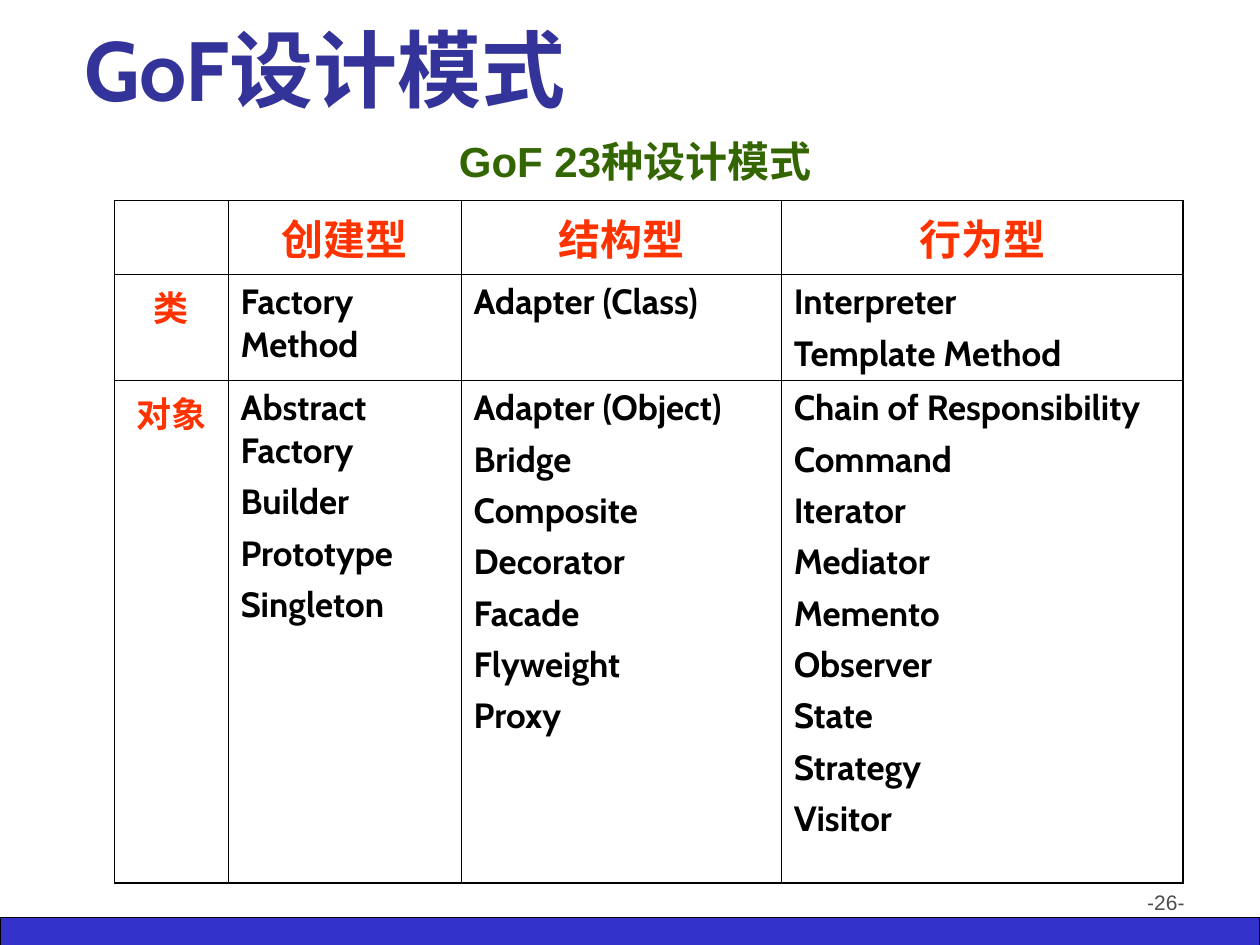
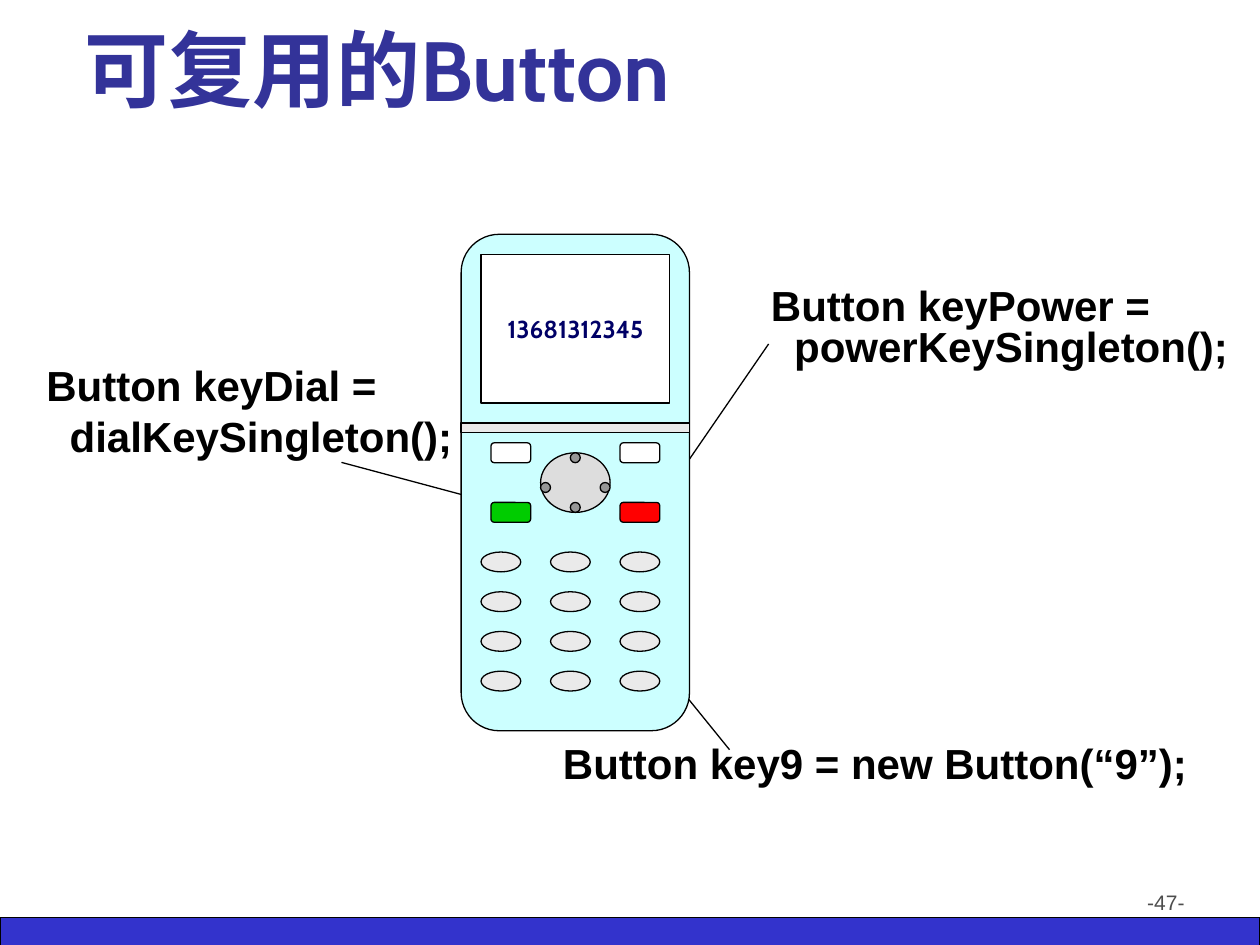
from lxml import etree
from pptx import Presentation, util as u
from pptx.dml.color import RGBColor
from pptx.enum import shapes, text
from pptx.oxml import ns

# Colours and fonts
BLACK = RGBColor(0x00, 0x00, 0x00)
WHITE = RGBColor(0xFF, 0xFF, 0xFF)
INDIGO = RGBColor(0x33, 0x33, 0x99)
BAND_BLUE = RGBColor(0x33, 0x33, 0xCC)
NAVY = RGBColor(0x00, 0x00, 0x66)
DARK_GREEN = RGBColor(0x33, 0x66, 0x00)
ORANGE = RGBColor(0xFF, 0x33, 0x00)
FOOTER_GREY = RGBColor(0x4D, 0x4D, 0x4D)
BODY_CYAN = RGBColor(0xCC, 0xFF, 0xFF)
KEY_GREY = RGBColor(0xEA, 0xEA, 0xEA)
PAD_GREY = RGBColor(0xDD, 0xDD, 0xDD)
DOT_GREY = RGBColor(0x96, 0x96, 0x96)
DIAL_GREEN = RGBColor(0x00, 0xCC, 0x00)
POWER_RED = RGBColor(0xFF, 0x00, 0x00)
HEAD_FONT, TEXT_FONT = "Cabin", "Arial"

# The slide is a grid of 100 columns by 75 rows
COLS, ROWS = 100, 75
WIDTH, HEIGHT = u.Inches(10), u.Inches(7.5)

RECT = shapes.MSO_SHAPE.RECTANGLE
ROUND = shapes.MSO_SHAPE.ROUNDED_RECTANGLE
OVAL = shapes.MSO_SHAPE.OVAL
LEFT, CENTER, RIGHT = text.PP_ALIGN.LEFT, text.PP_ALIGN.CENTER, text.PP_ALIGN.RIGHT


def x(col):
    return round(WIDTH * col / COLS)


def y(row):
    return round(HEIGHT * row / ROWS)


def box(col, row, cols, rows):
    return x(col), y(row), x(cols), y(rows)


class Deck:
    def __init__(self):
        self.prs = Presentation()
        self.prs.slide_width, self.prs.slide_height = WIDTH, HEIGHT
        self.s = None

    def slide(self, title, number):
        """Start a slide with its band, page number and title."""
        self.s = self.prs.slides.add_slide(self.prs.slide_layouts[5])
        self.shape(RECT, (0, 72.8, 100, 2.5), BAND_BLUE)
        self.label((71.7, 70.1, 23.3, 5.2), [f"-{number}-"], 12, FOOTER_GREY,
                   bold=False, align=RIGHT)
        sp = self.s.shapes.title
        sp.left, sp.top, sp.width, sp.height = box(5.7, 2.8, 86.8, 7.1)
        tf = sp.text_frame
        tf.auto_size = text.MSO_AUTO_SIZE.NONE
        tf.vertical_anchor = text.MSO_ANCHOR.BOTTOM
        self.add_lines(tf, [title], 48, INDIGO, HEAD_FONT)

    def add_lines(self, tf, lines, size, color, font=TEXT_FONT, bold=True,
                  align=LEFT, before=0, spacing=1.0):
        for i, line in enumerate(lines):
            p = tf.add_paragraph() if i else tf.paragraphs[0]
            p.alignment, p.line_spacing = align, spacing
            p.space_before = u.Pt(before if i else 0)
            for j, part in enumerate(line.split("\n")):
                if j:
                    p.add_line_break()
                r = p.add_run()
                r.text = part
                r.font.name, r.font.size, r.font.bold = font, u.Pt(size), bold
                r.font.color.rgb = color

    def label(self, place, lines, size, color, **style):
        tf = self.s.shapes.add_textbox(*box(*place)).text_frame
        tf.word_wrap = True
        self.add_lines(tf, lines, size, color, **style)

    def code(self, place, lines):
        self.label(place, lines, 24, BLACK, before=6, spacing=0.8)

    def shape(self, kind, place, fill, into=None):
        sp = (into or self.s).shapes.add_shape(kind, *box(*place))
        sp.shadow.inherit = False
        sp.fill.solid()
        sp.fill.fore_color.rgb = fill
        sp.line.color.rgb, sp.line.width = BLACK, u.Pt(0.75)
        return sp

    def line(self, start, end):
        ends = x(start[0]), y(start[1]), x(end[0]), y(end[1])
        c = self.s.shapes.add_connector(shapes.MSO_CONNECTOR.STRAIGHT, *ends)
        c.line.color.rgb, c.line.width = BLACK, u.Pt(0.75)
        etree.SubElement(c._element.spPr, ns.qn("a:effectLst"))

    def borders(self, cell, outer):
        """Rule the four sides; sides named in outer are heavier."""
        tc_pr = cell._tc.get_or_add_tcPr()
        for i, side in enumerate("LRTB"):
            width = u.Pt(1.08 if side in outer else 0.45)
            ln = etree.Element(ns.qn(f"a:ln{side}"), w=str(int(width)))
            fill = etree.SubElement(ln, ns.qn("a:solidFill"))
            etree.SubElement(fill, ns.qn("a:srgbClr"), val=str(BLACK))
            tc_pr.insert(i, ln)

    def table(self, place, cols, rows, cells):
        """Grid of line lists; the first row and column are headings."""
        t = self.s.shapes.add_table(len(rows), len(cols), *box(*place)).table
        t.first_row = t.horz_banding = False
        for column, width in zip(t.columns, cols):
            column.width = x(width)
        for i, height in enumerate(rows):
            t.rows[i].height = y(height)
            for j, lines in enumerate(cells[i]):
                cell = t.cell(i, j)
                cell.fill.solid()
                cell.fill.fore_color.rgb = WHITE
                outer = [side for side, on in (
                    ("T", i == 0), ("B", i == len(rows) - 1),
                    ("L", j == 0), ("R", j == len(cols) - 1)) if on]
                self.borders(cell, outer)
                heading = i == 0 or j == 0
                self.add_lines(cell.text_frame, lines, 20 if i else 24,
                               ORANGE if heading else BLACK, HEAD_FONT,
                               align=CENTER if heading else LEFT, before=5)


class Phone:
    """A handset drawn on its own grid of 23 by 50 units."""
    LEFT, TOP, UNIT = 36.6, 18.6, 39.4 / 50

    def point(self, px, py):
        return self.LEFT + px * self.UNIT, self.TOP + py * self.UNIT

    def draw(self, deck, number):
        group = deck.s.shapes.add_group_shape()

        def part(kind, px, py, w, h, fill):
            place = (*self.point(px, py), w * self.UNIT, h * self.UNIT)
            return deck.shape(kind, place, fill, group)

        # Body, screen and hinge
        part(ROUND, 0, 0, 23, 50, BODY_CYAN)
        tf = part(RECT, 2, 2, 19, 15, WHITE).text_frame
        tf.word_wrap = False
        tf.vertical_anchor = text.MSO_ANCHOR.MIDDLE
        deck.add_lines(tf, [number], 14, NAVY, HEAD_FONT, align=CENTER)
        part(RECT, 0, 19, 23, 1, KEY_GREY)

        # Navigation pad and function keys
        part(OVAL, 8, 22, 7, 6, PAD_GREY)
        for px, lower in ((3, DIAL_GREEN), (16, POWER_RED)):
            part(ROUND, px, 21, 4, 2, WHITE)
            part(ROUND, px, 27, 4, 2, lower)
        for px, py in ((11, 22), (11, 27), (14, 25), (8, 25)):
            part(OVAL, px, py, 1, 1, DOT_GREY)

        # Number keys
        for row in range(4):
            for col in range(3):
                part(OVAL, 2 + 7 * col, 32 + 4 * row, 4, 2, KEY_GREY)


def patterns_slide(deck):
    deck.slide("GoF设计模式", 26)
    deck.table(
        (9.1, 15.9, 84.8, 54.2), [9, 18.5, 25.4, 31.9], [5.9, 8.4, 39.9],
        [[[], ["创建型"], ["结构型"], ["行为型"]],
         [["类"], ["Factory Method"], ["Adapter (Class)"],
          ["Interpreter", "Template Method"]],
         [["对象"],
          ["Abstract Factory", "Builder", "Prototype", "Singleton"],
          ["Adapter (Object)", "Bridge", "Composite", "Decorator", "Facade",
           "Flyweight", "Proxy"],
          ["Chain of Responsibility", "Command", "Iterator", "Mediator",
           "Memento", "Observer", "State", "Strategy", "Visitor"]]])
    deck.label((6.7, 10.3, 87.4, 5), ["GoF 23种设计模式"], 24, DARK_GREEN,
               align=CENTER)


def button_slide(deck):
    deck.slide("可复用的Button", 47)
    phone = Phone()
    # Callout lines run from the keys, under the handset
    deck.line(phone.point(19, 42), (57.9, 59.5))
    deck.line(phone.point(3, 27), (27.1, 36.7))
    deck.line(phone.point(20, 27), (61, 27.3))
    deck.code((43.7, 58.8, 52, 4.2), ["Button key9 = new Button(“9”);"])
    deck.code((2.7, 28.8, 34.7, 8.3),
              ["Button keyDial =", "  dialKeySingleton();"])
    deck.code((60.2, 22.5, 39.8, 7.4),
              ["Button keyPower =\n  powerKeySingleton();"])
    phone.draw(deck, "13681312345")


def main():
    deck = Deck()
    patterns_slide(deck)
    button_slide(deck)
    deck.prs.save("out.pptx")


if __name__ == "__main__":
    main()
